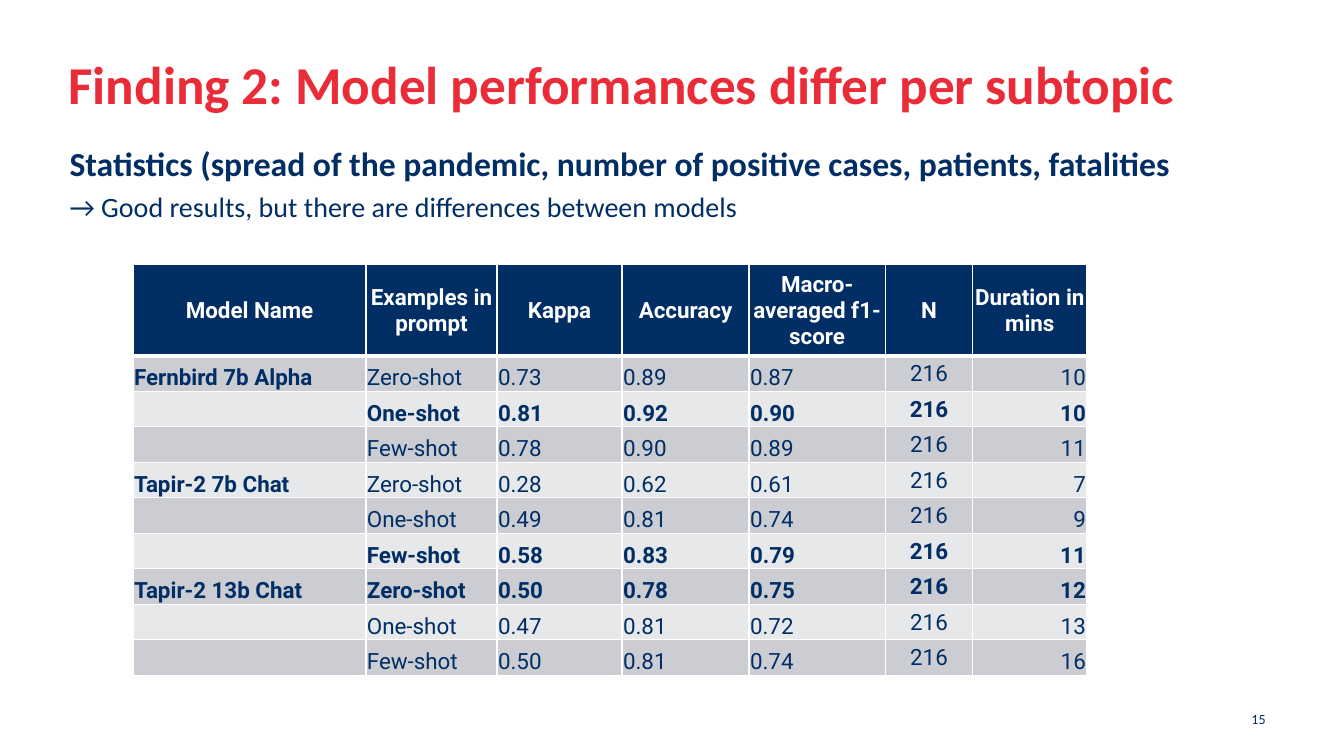
from lxml import etree
from pptx import Presentation
from pptx.dml.color import RGBColor
from pptx.enum.text import MSO_ANCHOR, PP_ALIGN
from pptx.oxml.ns import qn
from pptx.util import Inches, Pt

LEFT, CENTER, RIGHT = PP_ALIGN.LEFT, PP_ALIGN.CENTER, PP_ALIGN.RIGHT
TOP, MIDDLE, BOTTOM = MSO_ANCHOR.TOP, MSO_ANCHOR.MIDDLE, MSO_ANCHOR.BOTTOM

RED = RGBColor(0xEA, 0x2C, 0x38)
NAVY = RGBColor(0x00, 0x2E, 0x65)
WHITE = RGBColor(0xFF, 0xFF, 0xFF)
DARK = RGBColor(0xCC, 0xCD, 0xD3)
LIGHT = RGBColor(0xE7, 0xE8, 0xEA)

HEAD = ["Model Name", "Examples in prompt", "Kappa", "Accuracy",
        "Macro-averaged f1- score", "N", "Duration in mins"]
COLS = [2.31, 1.3, 1.24, 1.26, 1.35, 0.87, 1.13]
ALIGNS = [LEFT] * 5 + [CENTER, RIGHT]
SHOTS = ["Zero-shot", "One-shot", "Few-shot"]
MODELS = [
    ("Fernbird 7b Alpha", "One-shot",
     [("0.73", "0.89", "0.87", "10"), ("0.81", "0.92", "0.90", "10"),
      ("0.78", "0.90", "0.89", "11")]),
    ("Tapir-2 7b Chat", "Few-shot",
     [("0.28", "0.62", "0.61", "7"), ("0.49", "0.81", "0.74", "9"),
      ("0.58", "0.83", "0.79", "11")]),
    ("Tapir-2 13b Chat", "Zero-shot",
     [("0.50", "0.78", "0.75", "12"), ("0.47", "0.81", "0.72", "13"),
      ("0.50", "0.81", "0.74", "16")]),
]
COUNT = "216"


def add_run(para, text, size, color, bold=False, face="Calibri"):
    run = para.add_run()
    run.text = text
    run.font.name = face
    run.font.size = Pt(size)
    run.font.bold = bold
    run.font.color.rgb = color


def add_box(slide, box, anchor=TOP, inset=0):
    frame = slide.shapes.add_textbox(*map(Inches, box)).text_frame
    frame.word_wrap = True
    frame.vertical_anchor = anchor
    frame.margin_left = frame.margin_right = Inches(inset)
    frame.margin_top = frame.margin_bottom = Inches(inset / 2)
    return frame


def add_title(slide, box):
    frame = add_box(slide, box)
    add_run(frame.paragraphs[0],
            "Finding 2: Model performances differ per subtopic", 38, RED, True)


def add_intro(slide, box):
    frame = add_box(slide, box)
    add_run(frame.paragraphs[0],
            "Statistics (spread of the pandemic, number of positive cases, "
            "patients, fatalities", 24, NAVY, True)
    para = frame.add_paragraph()
    para.space_before = Pt(4)
    add_run(para, "→ Good results, but there are differences between models",
            20, NAVY)


def add_number(slide, box):
    para = add_box(slide, box, MIDDLE, 0.1).paragraphs[0]
    para.alignment = RIGHT
    add_run(para, "15", 10, NAVY)


def set_edges(cell, widths):
    props = cell._tc.get_or_add_tcPr()
    for spot, (side, width) in enumerate(widths.items()):
        line = etree.Element(qn("a:ln" + side), w=str(Pt(width)))
        fill = etree.SubElement(line, qn("a:solidFill"))
        etree.SubElement(fill, qn("a:srgbClr"), val=str(WHITE))
        props.insert(spot, line)


def fill_cell(cell, text, fill, color, bold, align, anchor, edges):
    cell.fill.solid()
    cell.fill.fore_color.rgb = fill
    cell.margin_left = cell.margin_right = cell.margin_top = Inches(0.01)
    cell.margin_bottom = 0
    cell.vertical_anchor = anchor
    set_edges(cell, edges)
    if text:
        para = cell.text_frame.paragraphs[0]
        para.alignment = align
        add_run(para, text, 16, color, bold, "Roboto")


def list_rows():
    for model, best, scores in MODELS:
        for shot, (*rates, mins) in zip(SHOTS, scores):
            name = model if shot == SHOTS[0] else ""
            yield [name, shot, *rates, COUNT, mins], shot == best


def add_scores(slide, box):
    rows = list(list_rows())
    table = slide.shapes.add_table(len(rows) + 1, len(COLS),
                                   *map(Inches, box)).table
    for col, width in zip(table.columns, COLS):
        col.width = Inches(width)
    head = 0.91
    table.rows[0].height = Inches(head)
    for i, text in enumerate(HEAD):
        fill_cell(table.cell(0, i), text, NAVY, WHITE, True, CENTER, MIDDLE,
                  {"L": 1, "R": 1, "T": 1, "B": 3})
    for i, (texts, best) in enumerate(rows, 1):
        table.rows[i].height = Inches((box[3] - head) / len(rows))
        edges = {"L": 1, "R": 1, "T": 3 if i == 1 else 1, "B": 1}
        for j, text in enumerate(texts):
            fill_cell(table.cell(i, j), text, DARK if i % 2 else LIGHT, NAVY,
                      best or j == 0, ALIGNS[j],
                      MIDDLE if HEAD[j] == "N" else BOTTOM, edges)


def main():
    deck = Presentation()
    deck.slide_width, deck.slide_height = Inches(13.33), Inches(7.5)
    slide = deck.slides.add_slide(deck.slide_layouts[6])
    add_title(slide, (0.68, 0.51, 11.97, 0.87))
    add_number(slide, (9.76, 6.93, 2.89, 0.4))
    add_intro(slide, (0.69, 1.42, 11.96, 0.97))
    add_scores(slide, (1.32, 2.62, sum(COLS), 4.08))
    deck.save("out.pptx")


if __name__ == "__main__":
    main()
